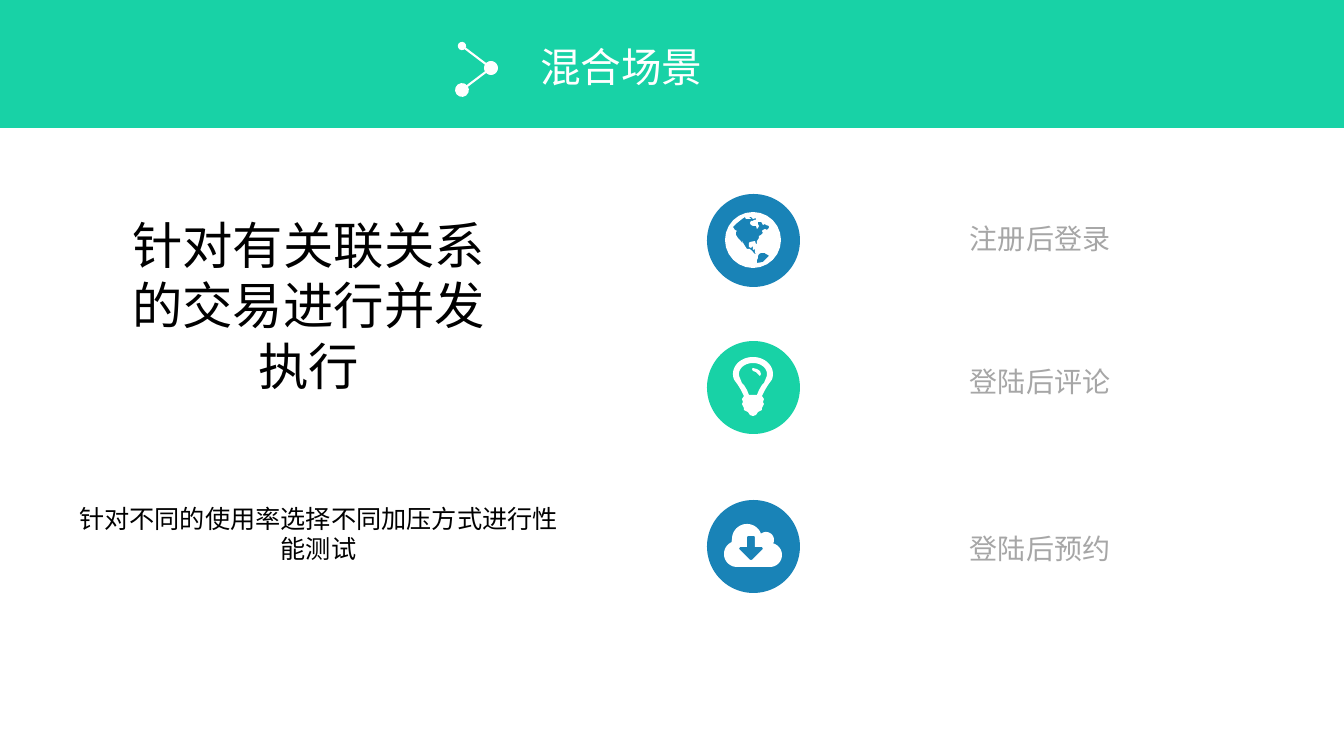
from math import cos, radians, sin

from lxml.etree import SubElement
from pptx import Presentation
from pptx.dml.color import RGBColor
from pptx.enum.shapes import MSO_CONNECTOR as CONN, MSO_SHAPE as SHAPE
from pptx.enum.text import MSO_ANCHOR as ANCHOR, PP_ALIGN as ALIGN
from pptx.oxml.ns import qn
from pptx.util import Pt

PX = 914400 / 100.8
GREEN, BLUE, WHITE, BLACK, GREY = "18D2A6", "1983B7", "FFFFFF", "000000", "A6A6A6"
CJK = "Noto Sans CJK SC"


def px(n):
    return round(n * PX)


def rgb(color):
    return RGBColor.from_string(color)


def paint(sp, color):
    sp.shadow.inherit = False
    sp.fill.solid()
    sp.fill.fore_color.rgb = rgb(color)
    sp.line.fill.background()


def add_preset(s, kind, x, y, w, h, color):
    sp = s.shapes.add_shape(kind, px(x), px(y), px(w), px(h))
    paint(sp, color)
    return sp


def write(tf, text, size, font, color, align=ALIGN.LEFT):
    p = tf.paragraphs[0]
    p.alignment = align
    r = p.add_run()
    r.text = text
    r.font.size = Pt(size)
    r.font.name = font
    r.font.color.rgb = rgb(color)
    SubElement(r.font._element, qn("a:ea")).set("typeface", font)
    return p


def add_text(s, x, y, w, h, *style):
    tf = s.shapes.add_textbox(px(x), px(y), px(w), px(h)).text_frame
    tf.word_wrap = True
    return tf, write(tf, *style)


def add_link(s, start, end, head, tail):
    """White line with round ends of the given sizes."""
    line = s.shapes.add_connector(CONN.STRAIGHT, *map(px, start + end))
    line.line.color.rgb = rgb(WHITE)
    line.line.width = Pt(1.5)
    ln = line.line._get_or_add_ln()
    for tag, size in (("a:headEnd", head), ("a:tailEnd", tail)):
        dot = SubElement(ln, qn(tag))
        dot.set("type", "oval")
        dot.set("w", size)
        dot.set("len", size)
    SubElement(line._element.spPr, qn("a:effectLst"))


# Icon outlines, in px from the corner of their disc
def arc(cx, cy, rx, ry, start, end):
    """Points clockwise from start to end, in degrees."""
    steps = 24
    angles = [radians(start + (end - start) * i / steps) for i in range(steps + 1)]
    return [(cx + rx * cos(a), cy + ry * sin(a)) for a in angles]


def mirrored(right, axis=46):
    """Right half from top to bottom, then the left half back up."""
    return right + [(2 * axis - x, y) for x, y in reversed(right)]


def globe():
    north = [
        (55, 37), (56, 36), (58, 35), (60, 36), (62, 34), (62, 32), (59, 31), (58, 30),
        (56, 31), (55, 29), (54, 28), (51, 28), (51, 30), (52, 32), (51, 34), (50, 35),
        (49, 32), (46, 32), (44, 31), (43, 29), (44, 27), (46, 27), (47, 26), (49, 26),
        (49, 24), (46, 25), (44, 23), (42, 23), (44, 25), (39, 25), (38, 23), (35, 25),
        (30, 29), (26, 33), (28, 36), (30, 37), (29, 38), (29, 41), (31, 44), (33, 46),
        (36, 50), (35, 47), (38, 52), (40, 55), (43, 55), (45, 57), (47, 59), (49, 61),
        (48, 58), (48, 55), (46, 56), (46, 52), (44, 54), (42, 53), (42, 49), (43, 48),
        (48, 47), (49, 50), (50, 50), (50, 47), (52, 44), (52, 42), (54, 41), (56, 39)]
    south = [
        (62, 62), (61, 61), (59, 60), (58, 59), (54, 59), (52, 60), (51, 62), (51, 64),
        (50, 66), (50, 69), (56, 68)]
    return [arc(46, 46, 28, 28, 0, 360), north, south]


def bulb():
    glass = mirrored(arc(46, 33, 20, 17, -90, 20) + [
        (61, 44), (58, 49), (55, 55), (57, 58), (56, 61), (57, 63), (55, 67), (55, 69),
        (51, 71), (49, 74), (46, 75)])
    hollow = mirrored(arc(46, 33, 14, 11, -90, 20) + [(57, 42), (55, 44), (52, 49), (50, 54)])
    glint = [(46, 30), (45, 28), (46, 27), (50, 28), (53, 30), (54, 33), (53, 35),
             (51, 33), (49, 31)]
    return [glass, hollow, glint]


def cloud():
    lobes = (arc(30, 54, 13, 13, 90, 245) + arc(40, 39, 15, 15, 180, 335)
             + arc(59, 40, 8, 8, 230, 390) + arc(63, 55, 12, 12, -75, 90))
    arrow = [(55, 47), (48, 47), (48, 37), (47, 36), (41, 36), (40, 37), (40, 47),
             (33, 47), (32, 49), (43, 60), (45, 60), (56, 49)]
    return [lobes, arrow]


def add_icon(s, x, y, outlines):
    builder = None
    for outline in outlines:
        pts = [(px(x + dx), px(y + dy)) for dx, dy in outline]
        if builder is None:
            builder = s.shapes.build_freeform(*pts[0])
        else:
            builder.move_to(*pts[0])
        builder.add_line_segments(pts[1:], close=True)
    paint(builder.convert_to_shape(), WHITE)


# Regions
def add_header(s, x, y, w, h):
    banner = add_preset(s, SHAPE.RECTANGLE, x, y, w, h, GREEN)
    title = s.shapes.title
    title._element.addprevious(banner._element)
    title.left, title.top, title.width, title.height = map(px, (x + 530, y + 37, 184, 59))
    tf = title.text_frame
    tf.word_wrap = False
    tf.vertical_anchor = ANCHOR.MIDDLE
    write(tf, "混合场景", 29, "Arial", WHITE)
    top, joint, bottom = (x + 462, y + 46), (x + 491, y + 68), (x + 462, y + 90)
    add_link(s, top, joint, "med", "lg")
    add_link(s, joint, bottom, "lg", "lg")


def add_summary(s, x, y):
    add_text(s, x + 33, y, 415, 194, "针对有关联关系的交易进行并发执行", 36, CJK, BLACK, ALIGN.CENTER)
    add_text(s, x, y + 289, 501, 72, "针对不同的使用率选择不同加压方式进行性能测试",
             18, CJK, BLACK, ALIGN.CENTER)


def add_scene(s, x, y, label_y, color, icon, label):
    add_preset(s, SHAPE.OVAL, x, y, 93, 93, color)
    add_icon(s, x, y, icon)
    tf, p = add_text(s, x + 263, label_y, 358, 37, label, 20, "Arial", GREY)
    tf.margin_left = tf.margin_top = tf.margin_right = tf.margin_bottom = 0
    p.line_spacing = 1.2


def main():
    prs = Presentation()
    prs.slide_width, prs.slide_height = px(1344), px(756)
    s = prs.slides.add_slide(prs.slide_layouts[5])
    add_header(s, 0, 0, 1344, 128)
    add_summary(s, 68, 209)
    scenes = [
        (194, 215, BLUE, globe(), "注册后登录"),
        (341, 358, GREEN, bulb(), "登陆后评论"),
        (500, 525, BLUE, cloud(), "登陆后预约")]
    for scene in scenes:
        add_scene(s, 707, *scene)
    prs.save("out.pptx")


if __name__ == "__main__":
    main()
